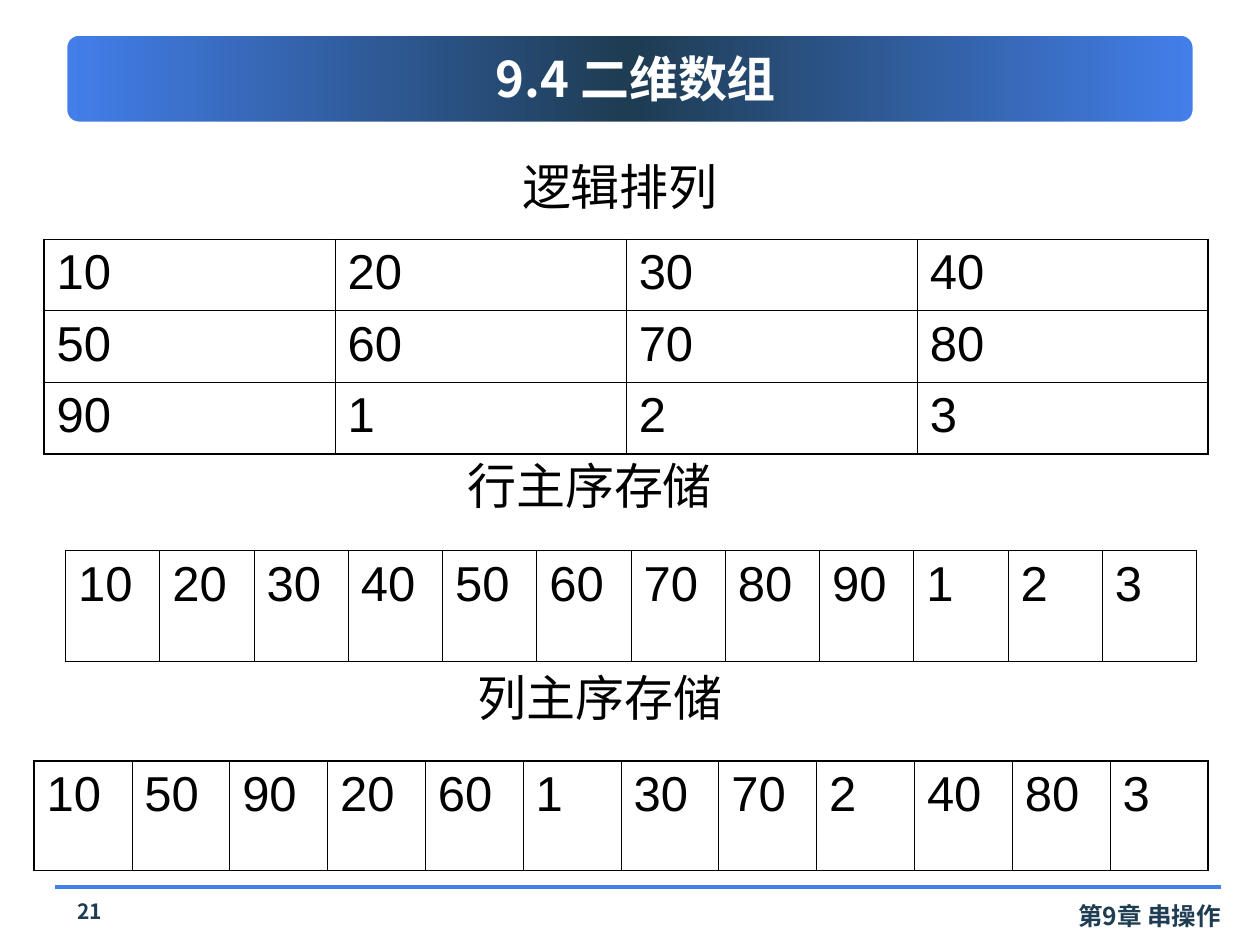
"""Build a slide showing a matrix and its row-major and column-major storage."""
import copy

import lxml.etree
import pptx
import pptx.dml.color
import pptx.enum.shapes
import pptx.enum.text
import pptx.oxml.ns
import pptx.util

WIDTH = pptx.util.Inches(10)
HEIGHT = pptx.util.Inches(7.5)
COLORS = {"accent": "437FEB", "deep": "1E3C52", "ink": "000000", "paper": "FFFFFF"}
LATIN = "Arial"
HAN = "Noto Sans CJK SC"
OUTER, INNER = 1.08, 0.45
ALIGN = pptx.enum.text.PP_ALIGN
ANCHOR = pptx.enum.text.MSO_ANCHOR
MATRIX = [[10, 20, 30, 40], [50, 60, 70, 80], [90, 1, 2, 3]]


def color(key):
    """Return the named palette colour."""
    return pptx.dml.color.RGBColor.from_string(COLORS[key])


def across(percent):
    """Return a share of the slide width."""
    return round(WIDTH * percent / 100)


def down(percent):
    """Return a share of the slide height."""
    return round(HEIGHT * percent / 100)


def area(left, top, width, height):
    """Return a rectangle given in percent of the slide."""
    return across(left), down(top), across(width), down(height)


def add_child(parent, tag, **attributes):
    """Append a drawing element to its parent."""
    return lxml.etree.SubElement(parent, pptx.oxml.ns.qn(tag), **attributes)


def write(frame, text, size, key, font=LATIN, bold=False, align=ALIGN.LEFT):
    """Fill a text frame with one formatted paragraph."""
    frame.text = text
    paragraph = frame.paragraphs[0]
    paragraph.alignment = align
    for run in paragraph.runs:
        run.font.name = font
        run.font.size = pptx.util.Pt(size)
        run.font.bold = bold
        run.font.color.rgb = color(key)
        add_child(run.font._element, "a:ea", typeface=HAN)


def add_label(slide, place, text, size, key, anchor=ANCHOR.TOP, **style):
    """Add a wrapped text box."""
    frame = slide.shapes.add_textbox(*area(*place)).text_frame
    frame.word_wrap = True
    frame.vertical_anchor = anchor
    write(frame, text, size, key, **style)


def add_banner(slide, place):
    """Add the rounded bar with a gradient that darkens in the middle."""
    banner = slide.shapes.add_shape(
        pptx.enum.shapes.MSO_SHAPE.ROUNDED_RECTANGLE, *area(*place))
    banner.shadow.inherit = False
    banner.line.color.rgb = color("paper")
    banner.line.width = pptx.util.Pt(5)
    banner.fill.gradient()
    banner.fill.gradient_angle = 0
    first = banner.fill.gradient_stops[0]._gs
    first.addnext(copy.deepcopy(first))
    for index, key in enumerate(("accent", "deep", "accent")):
        stop = banner.fill.gradient_stops[index]
        stop.color.rgb = color(key)
        stop.position = index / 2


def add_rule(slide, left, right, level):
    """Add the horizontal footer rule."""
    rule = slide.shapes.add_connector(
        pptx.enum.shapes.MSO_CONNECTOR.STRAIGHT,
        across(left), down(level), across(right), down(level))
    rule.line.color.rgb = color("accent")
    rule.line.width = pptx.util.Pt(2)
    add_child(rule._element.spPr, "a:effectLst")


def set_borders(cell, outer_sides):
    """Draw the cell borders, heavier on the table's outer sides."""
    properties = cell._tc.get_or_add_tcPr()
    for side in "LRTB":
        weight = OUTER if side in outer_sides else INNER
        border = add_child(properties, f"a:ln{side}", w=str(pptx.util.Pt(weight)))
        fill = add_child(border, "a:solidFill")
        add_child(fill, "a:srgbClr", val=COLORS["ink"])


def add_array(slide, place, values):
    """Add a table with equal columns and rows."""
    row_count, column_count = len(values), len(values[0])
    left, top, width, height = area(*place)
    table = slide.shapes.add_table(
        row_count, column_count, left, top, width, height).table
    table.first_row = table.horz_banding = False
    for r, row in enumerate(values):
        for c, value in enumerate(row):
            cell = table.cell(r, c)
            edges = {"L": c == 0, "R": c == column_count - 1,
                     "T": r == 0, "B": r == row_count - 1}
            set_borders(cell, [side for side, outer in edges.items() if outer])
            cell.fill.background()
            write(cell.text_frame, str(value), 28, "ink")


def main():
    """Build and save the slide."""
    deck = pptx.Presentation()
    deck.slide_width, deck.slide_height = WIDTH, HEIGHT
    slide = deck.slides.add_slide(deck.slide_layouts[6])

    add_banner(slide, (5, 3.33, 90, 10))
    add_rule(slide, 4.4, 96.9, 93.87)
    heading = {"font": HAN, "bold": True}
    add_label(slide, (74.2, 94.67, 23.7, 4.53), "第9章 串操作", 14, "deep",
              align=ALIGN.RIGHT, **heading)
    add_label(slide, (6.7, 3.73, 87.5, 8.93), "9.4 二维数组", 28, "paper",
              anchor=ANCHOR.MIDDLE, align=ALIGN.CENTER, **heading)
    add_label(slide, (4.2, 94.4, 5.8, 4.4), "21", 12, "deep",
              align=ALIGN.CENTER, **heading)

    row_major = [value for row in MATRIX for value in row]
    column_major = [value for column in zip(*MATRIX) for value in column]
    sections = [
        ("逻辑排列", (18.5, 15.87), (3.5, 25.33, 92.4, 22.67), MATRIX),
        ("行主序存储", (16.1, 47.6), (5.2, 58.27, 89.8, 11.73), [row_major]),
        ("列主序存储", (16.9, 70), (2.7, 80.53, 93.2, 11.6), [column_major]),
    ]
    for caption, corner, place, values in sections:
        add_array(slide, place, values)
        add_label(slide, (*corner, 61.4, 7.6), caption, 28, "ink",
                  align=ALIGN.CENTER)

    deck.save("out.pptx")


if __name__ == "__main__":
    main()
